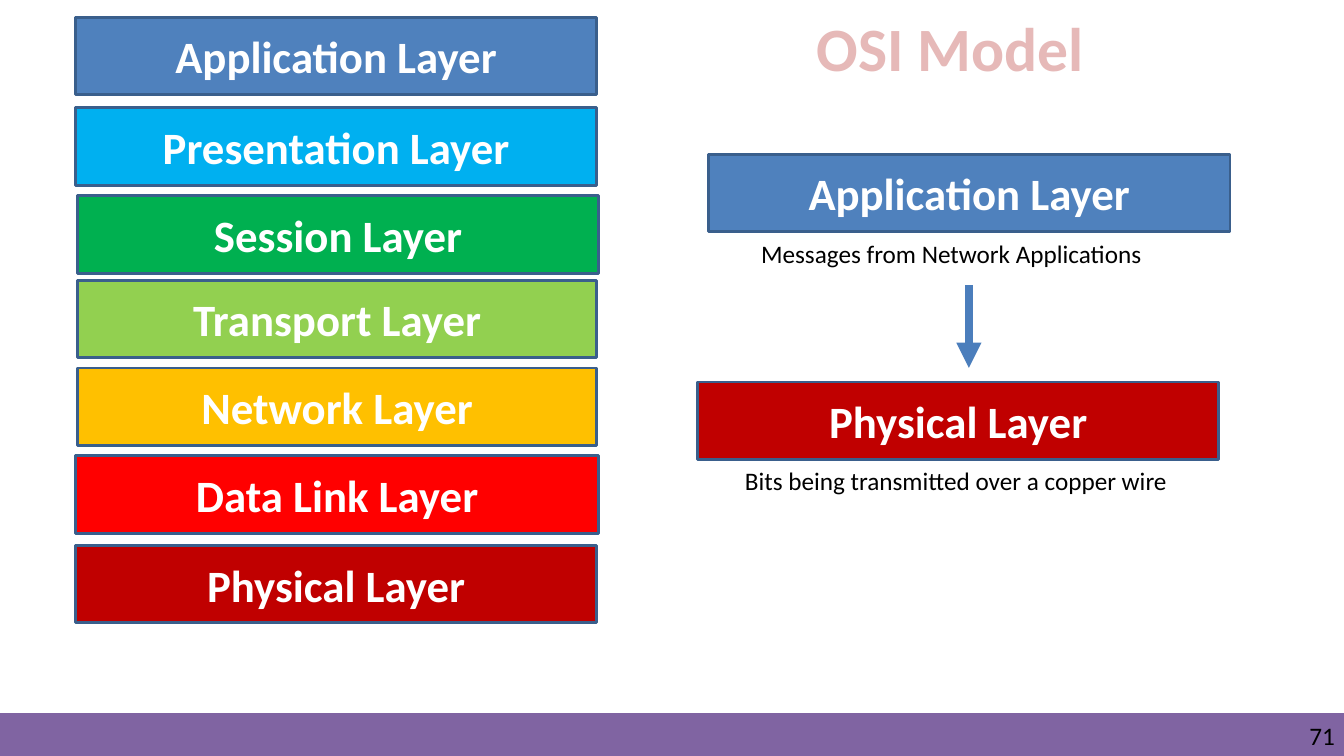
from lxml import etree
from pptx import Presentation
from pptx.dml.color import RGBColor
from pptx.enum.shapes import MSO_CONNECTOR, MSO_SHAPE
from pptx.enum.text import MSO_ANCHOR, MSO_AUTO_SIZE, PP_ALIGN
from pptx.oxml import parse_xml
from pptx.oxml.ns import nsdecls, qn
from pptx.util import Inches, Pt

RECT = MSO_SHAPE.RECTANGLE
STRAIGHT = MSO_CONNECTOR.STRAIGHT
TOP, MIDDLE = MSO_ANCHOR.TOP, MSO_ANCHOR.MIDDLE
LEFT, CENTER, RIGHT = PP_ALIGN.LEFT, PP_ALIGN.CENTER, PP_ALIGN.RIGHT
NO_FIT = MSO_AUTO_SIZE.NONE

WIDE, HIGH = Inches(13.33), Inches(7.5)
TITLE_ONLY = 5

WHITE = RGBColor(0xFF, 0xFF, 0xFF)
BLACK = RGBColor(0x00, 0x00, 0x00)
BLUE = RGBColor(0x4F, 0x81, 0xBD)
SKY = RGBColor(0x00, 0xB0, 0xF0)
GREEN = RGBColor(0x00, 0xB0, 0x50)
LIME = RGBColor(0x92, 0xD0, 0x50)
AMBER = RGBColor(0xFF, 0xC0, 0x00)
RED = RGBColor(0xFF, 0x00, 0x00)
DARK_RED = RGBColor(0xC0, 0x00, 0x00)
PURPLE = RGBColor(0x80, 0x64, 0xA2)
PINK = RGBColor(0xE6, 0xB9, 0xB8)
EDGE = RGBColor(0x3A, 0x5F, 0x8C)
ARROW = RGBColor(0x4B, 0x7E, 0xBC)

# Places are percent shares of the slide's width and height.
BOX_W, BOX_H = 38.78, 10.27
LAYERS = [
    ("Application Layer", BLUE, 5.63, 2.27, BOX_W),
    ("Presentation Layer", SKY, 5.63, 14.27, BOX_W),
    ("Session Layer", GREEN, 5.78, 25.87, BOX_W),
    ("Transport Layer", LIME, 5.78, 37.07, 38.63),
    ("Network Layer", AMBER, 5.78, 48.67, 38.63),
    ("Data Link Layer", RED, 5.63, 60.27, 38.93),
    ("Physical Layer", DARK_RED, 5.63, 72.13, BOX_W),
    ("Application Layer", BLUE, 52.74, 20.4, BOX_W),
    ("Physical Layer", DARK_RED, 51.91, 50.53, BOX_W),
]
NOTES = [
    ("Messages from Network Applications", 55.89, 30.93, 32.63),
    ("Bits being transmitted over a copper wire", 54.69, 60.93, 35.78),
]


def place(x, y, w, h):
    """Turn percent shares into left, top, width and height."""
    return [int(share * side / 100)
            for share, side in zip((x, y, w, h), (WIDE, HIGH, WIDE, HIGH))]


def write(shape, text, size, color, bold=False, align=LEFT, anchor=TOP):
    frame = shape.text_frame
    frame.text = text
    look = {"word_wrap": True, "auto_size": NO_FIT, "vertical_anchor": anchor}
    for name, value in look.items():
        setattr(frame, name, value)
    frame.paragraphs[0].alignment = align
    run = frame.paragraphs[0].runs[0]
    for name, value in {"name": "Calibri", "size": Pt(size), "bold": bold}.items():
        setattr(run.font, name, value)
    run.font.color.rgb = color
    return run


def add_box(slide, area, fill, edge, width):
    box = slide.shapes.add_shape(RECT, *place(*area))
    box.shadow.inherit = False
    box.fill.solid()
    box.fill.fore_color.rgb = fill
    box.line.color.rgb = edge
    box.line.width = Pt(width)
    return box


def add_title(slide):
    title = slide.shapes.title
    title.left, title.top, title.width, title.height = place(60.02, 0.67, 24.16, 11.2)
    run = write(title, "OSI Model", 44, PINK, bold=True)
    run.font._element.insert(0, parse_xml(
        f'<a:ln {nsdecls("a")} w="22225"><a:solidFill>'
        '<a:srgbClr val="C0504D"/></a:solidFill></a:ln>'))


def add_note(slide, text, x, y, w):
    note = slide.shapes.add_textbox(*place(x, y, w, 5.33))
    write(note, text, 18, BLACK)


def add_number(slide, text):
    number = slide.shapes.add_textbox(*place(76.29, 95.33, 23.03, 4))
    write(number, text, 18, BLACK, align=RIGHT)
    for side in ("left", "top", "right", "bottom"):
        setattr(number.text_frame, f"margin_{side}", 0)


def add_arrow(slide, x, top, end):
    left, start, _, stop = place(x, top, 0, end)
    arrow = slide.shapes.add_connector(STRAIGHT, left, start, left, stop)
    arrow.line.color.rgb = ARROW
    arrow.line.width = Pt(6)
    etree.SubElement(arrow.line._get_or_add_ln(), qn("a:tailEnd"), type="triangle")
    etree.SubElement(arrow._element.spPr, qn("a:effectLst"))


def main():
    deck = Presentation()
    deck.slide_width, deck.slide_height = WIDE, HIGH
    slide = deck.slides.add_slide(deck.slide_layouts[TITLE_ONLY])
    add_box(slide, (0, 94.4, 100, 5.6), PURPLE, PURPLE, 1)
    add_number(slide, "71")
    add_title(slide)
    for text, fill, x, y, w in LAYERS:
        box = add_box(slide, (x, y, w, BOX_H), fill, EDGE, 2)
        write(box, text, 32, WHITE, True, CENTER, MIDDLE)
    for note in NOTES:
        add_note(slide, *note)
    add_arrow(slide, 72.09, 37.73, 48.67)
    deck.save("out.pptx")


if __name__ == "__main__":
    main()
